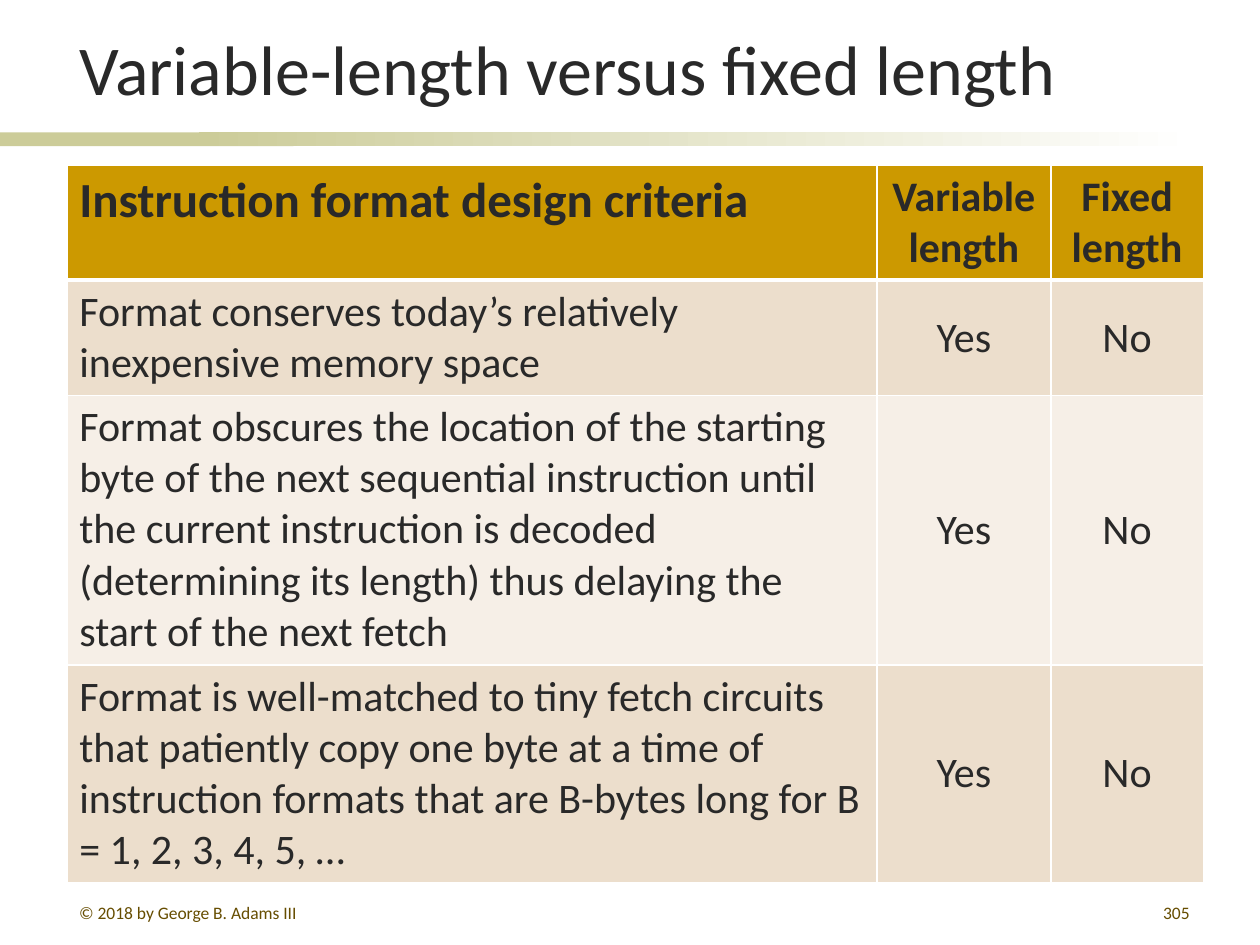
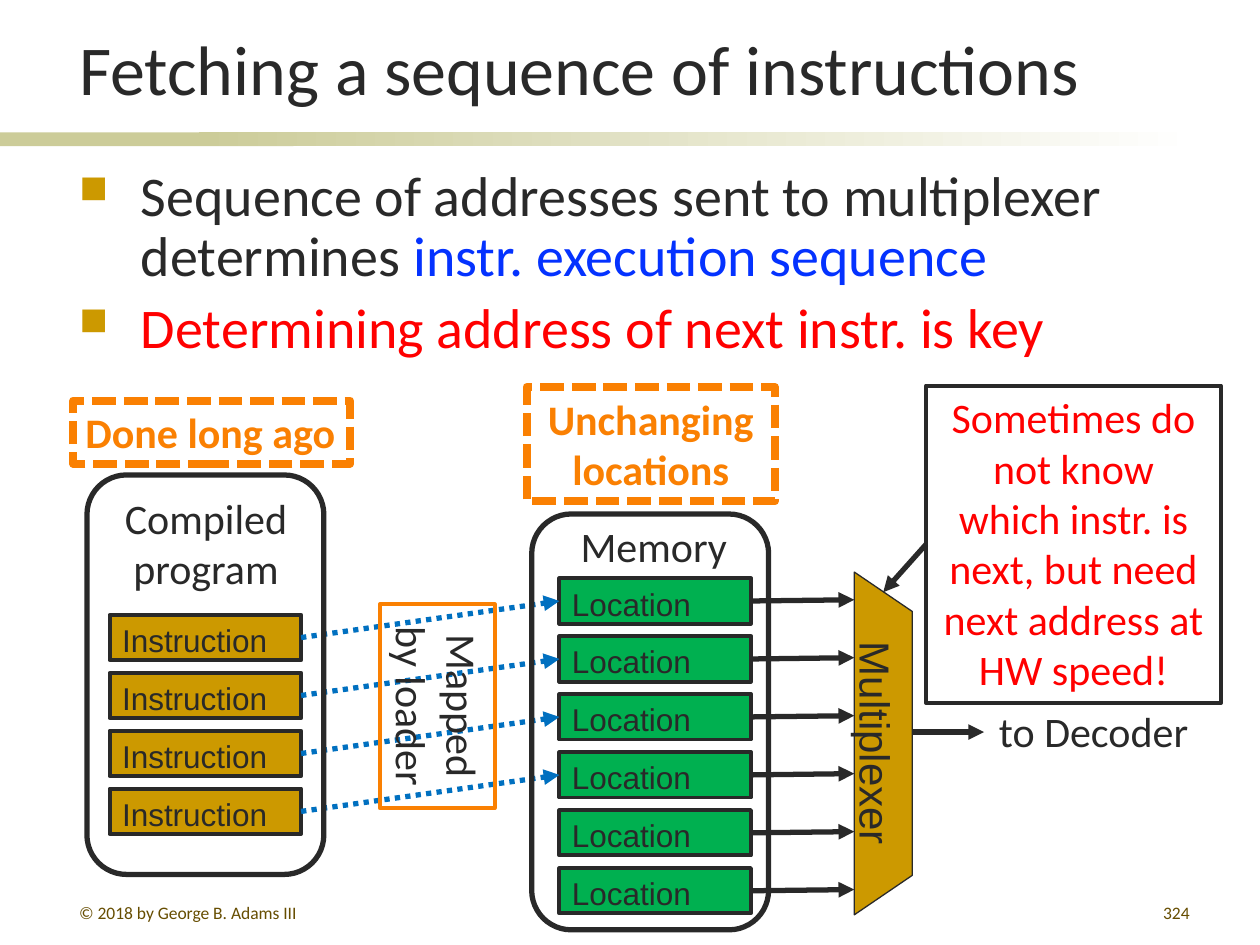
"""Builds two slides on instruction formats and instruction fetch."""
from lxml import etree
from pptx import Presentation
from pptx.dml.color import RGBColor
from pptx.enum.dml import MSO_LINE
from pptx.enum.shapes import MSO_CONNECTOR, MSO_SHAPE
from pptx.enum.text import MSO_ANCHOR, MSO_AUTO_SIZE, PP_ALIGN
from pptx.oxml.ns import qn
from pptx.util import Pt

PX = 9144
INK = RGBColor(0x29, 0x29, 0x29)
WHITE = RGBColor(0xFF, 0xFF, 0xFF)
GOLD = RGBColor(0xCC, 0x99, 0x00)
SAGE = RGBColor(0xCC, 0xCC, 0x99)
BROWN = RGBColor(0x66, 0x4D, 0x00)
TAN = RGBColor(0xEC, 0xDE, 0xCC)
CREAM = RGBColor(0xF6, 0xEF, 0xE7)
GREEN = RGBColor(0x00, 0xB0, 0x50)
BLUE = RGBColor(0x04, 0x32, 0xFF)
SKY = RGBColor(0x00, 0x70, 0xC0)
RED = RGBColor(0xFF, 0x00, 0x00)
ORANGE = RGBColor(0xFA, 0x80, 0x02)
LEFT, MID, RIGHT = PP_ALIGN.LEFT, PP_ALIGN.CENTER, PP_ALIGN.RIGHT
TOP, CENTER, BOTTOM = MSO_ANCHOR.TOP, MSO_ANCHOR.MIDDLE, MSO_ANCHOR.BOTTOM
RECT, ROUND, TRAP = MSO_SHAPE.RECTANGLE, MSO_SHAPE.ROUNDED_RECTANGLE, MSO_SHAPE.TRAPEZOID
DOT, DASH = MSO_LINE.ROUND_DOT, MSO_LINE.SQUARE_DOT
NO_FIT = MSO_AUTO_SIZE.NONE
STRAIGHT = MSO_CONNECTOR.STRAIGHT


def scale(*px):
    return [n * PX for n in px]


def node(parent, tag, **attrs):
    return etree.SubElement(parent, qn(tag), **attrs)


def write(frame, text, size=24, font="Calibri", color=INK, bold=False, align=LEFT):
    """Fill a frame from a string, or from paragraphs of (text, colour) runs."""
    paras = [[(text, color)]] if isinstance(text, str) else text
    for i, runs in enumerate(paras):
        para = frame.add_paragraph() if i else frame.paragraphs[0]
        para.alignment = align
        for words, tint in runs:
            run = para.add_run()
            run.text = words
            run.font.size, run.font.name, run.font.bold = Pt(size), font, bold
            run.font.color.rgb = tint


class Deck:
    """Holds the shared style and the current slide."""

    def __init__(self):
        self.prs = Presentation()
        self.prs.slide_width, self.prs.slide_height = scale(1000, 750)

    def start(self, title, page):
        self.slide = self.prs.slides.add_slide(self.prs.slide_layouts[5])
        self.shapes = self.slide.shapes
        self.shape(RECT, 0, 105, 233, 11, fill=SAGE)
        fade = self.shape(RECT, 158, 105, 792, 11).fill
        fade.gradient()
        fade.gradient_angle = 0
        for stop, color in zip(fade.gradient_stops, (SAGE, WHITE)):
            stop.color.rgb = color
        head = self.shapes.title
        head.left, head.top, head.width, head.height = scale(53, 11, 901, 81)
        self.frame(head, title, anchor=BOTTOM, size=40)
        self.text(53, 711, 217, 21, "© 2018 by George B. Adams III", size=10, color=BROWN)
        self.text(746, 711, 208, 21, page, size=10, color=BROWN, align=RIGHT)

    def frame(self, shape, text, anchor=TOP, wrap=True, **style):
        frame = shape.text_frame
        frame.auto_size, frame.word_wrap = NO_FIT, wrap
        frame.vertical_anchor = anchor
        write(frame, text, **style)
        return frame

    def text(self, x, y, w, h, text, **style):
        return self.frame(self.shapes.add_textbox(*scale(x, y, w, h)), text, **style)

    def shape(self, kind, x, y, w, h, text="", fill=None, line=None, weight=2.25,
              dash=None, turn=0, **style):
        shape = self.shapes.add_shape(kind, *scale(x, y, w, h))
        shape.shadow.inherit = False
        shape.rotation = turn
        if fill is None:
            shape.fill.background()
        else:
            shape.fill.solid()
            shape.fill.fore_color.rgb = fill
        if line is None:
            shape.line.fill.background()
        else:
            shape.line.color.rgb, shape.line.width = line, Pt(weight)
            shape.line.dash_style = dash
        if text:
            self.frame(shape, text, **style)
        return shape

    def arrow(self, start, end, color=INK, dash=None, source=None, target=None):
        link = self.shapes.add_connector(STRAIGHT, *scale(*start, *end))
        if source:
            link.begin_connect(*source)
        if target:
            link.end_connect(*target)
        link.line.color.rgb, link.line.width = color, Pt(3)
        link.line.dash_style = dash
        node(link.line._get_or_add_ln(), "a:tailEnd", type="triangle")
        node(link._element.spPr, "a:effectLst")

    def bullets(self, x, y, w, h, paras, **style):
        for para in self.text(x, y, w, h, paras, **style).paragraphs:
            para.line_spacing, para.space_before = Pt(34.4), Pt(6.4)
            props = para._p.get_or_add_pPr()
            props.set("marL", str(49 * PX))
            props.set("indent", str(-49 * PX))
            node(node(props, "a:buClr"), "a:srgbClr", val=str(GOLD))
            node(props, "a:buSzPct", val="70000")
            node(props, "a:buChar", char="■")

    def cell(self, cell, text, fill, edges, anchor=TOP, **style):
        props = cell._tc.get_or_add_tcPr()
        for side, weight in zip("LRTB", edges):
            edge = node(props, "a:ln" + side, w=str(Pt(weight)))
            node(node(edge, "a:solidFill"), "a:srgbClr", val=str(WHITE))
        cell.fill.solid()
        cell.fill.fore_color.rgb = fill
        cell.vertical_anchor = anchor
        write(cell.text_frame, text, **style)

    def table(self, x, y, cols, rows, data):
        grid = self.shapes.add_table(len(rows), len(cols),
                                     *scale(x, y, sum(cols), sum(rows))).table
        grid.horz_banding = False
        for col, width in zip(grid.columns, cols):
            col.width = width * PX
        for row, height in zip(grid.rows, rows):
            row.height = height * PX
        for r, row in enumerate(data):
            head = r == 0
            fill = GOLD if head else (CREAM, TAN)[r % 2]
            edges = (1, 1, 3 if r == 1 else 1, 3 if head else 1)
            for c, text in enumerate(row):
                self.cell(grid.cell(r, c), text, fill, edges,
                          anchor=CENTER if r and c else TOP,
                          size=28 if head and c == 0 else 24,
                          bold=head, align=MID if c else LEFT)


def compare(deck):
    deck.start("Variable-length versus fixed length", "305")
    deck.table(53, 131, (643, 138, 121), (91, 91, 214, 172), [
        ("Instruction format design criteria", "Variable length", "Fixed length"),
        ("Format conserves today’s relatively inexpensive memory space", "Yes", "No"),
        ("Format obscures the location of the starting byte of the next sequential "
         "instruction until the current instruction is decoded (determining its "
         "length) thus delaying the start of the next fetch", "Yes", "No"),
        ("Format is well-matched to tiny fetch circuits that patiently copy one byte "
         "at a time of instruction formats that are B-bytes long for "
         "B = 1, 2, 3, 4, 5, …", "Yes", "No"),
    ])


def fetch(deck):
    deck.start("Fetching a sequence of instructions", "324")
    deck.bullets(53, 128, 902, 180, [
        [("Sequence of addresses sent to multiplexer determines ", INK),
         ("instr. execution sequence", BLUE)],
        [("Determining address of next instr. is key", RED)],
    ], size=32)

    def stack(x, y, count, text, fill):
        return [deck.shape(RECT, x, y + 46 * i, 152, 36, text, fill=fill, line=INK,
                           size=18, font="Arial") for i in range(count)]

    codes = stack(87, 488, 4, "Instruction", GOLD)
    slots = stack(444, 459, 6, "Location", GREEN)
    deck.text(88, 386, 151, 91, "Compiled program", align=MID)
    deck.text(451, 408, 137, 50, "Memory", wrap=False)
    mux = deck.shape(TRAP, 565, 567, 272, 46, "Multiplexer", fill=GOLD, line=INK,
                     weight=0.75, turn=90, font="Arial", align=MID)
    mux.adjustments[0] = 0.68
    mux.text_frame.margin_bottom = 20 * PX
    for i, slot in enumerate(slots):
        y = 477 + 46 * i
        deck.arrow((596, y), (678, y - 1), source=(slot, 3))
    for i, (code, slot) in enumerate(zip(codes, slots)):
        deck.arrow((239, 506 + 46 * i), (444, 477 + 46 * i), SKY, DOT,
                   source=(code, 3), target=(slot, 1))
    deck.arrow((724, 581), (781, 581))
    deck.text(783, 555, 172, 50, "to Decoder", wrap=False)
    note = deck.shape(RECT, 735, 306, 234, 252,
                      "Sometimes do not know which instr. is next, but need next "
                      "address at HW speed!", line=INK, color=RED, align=MID)
    deck.arrow((735, 432), (701, 470), source=(note, 1))
    deck.shape(ROUND, 69, 377, 188, 317, line=INK, weight=3)
    deck.shape(RECT, 266, 515, 162, 91, "Mapped by loader", line=ORANGE, turn=90, align=MID)
    deck.shape(ROUND, 422, 408, 188, 330, line=INK, weight=3)
    label = dict(line=ORANGE, weight=4.5, dash=DASH, color=ORANGE, bold=True)
    deck.shape(RECT, 58, 318, 220, 50, "Done long ago", wrap=False, **label)
    deck.shape(RECT, 418, 307, 197, 91, "Unchanging locations", align=MID, **label)


def main():
    deck = Deck()
    compare(deck)
    fetch(deck)
    deck.prs.save("out.pptx")


if __name__ == "__main__":
    main()
